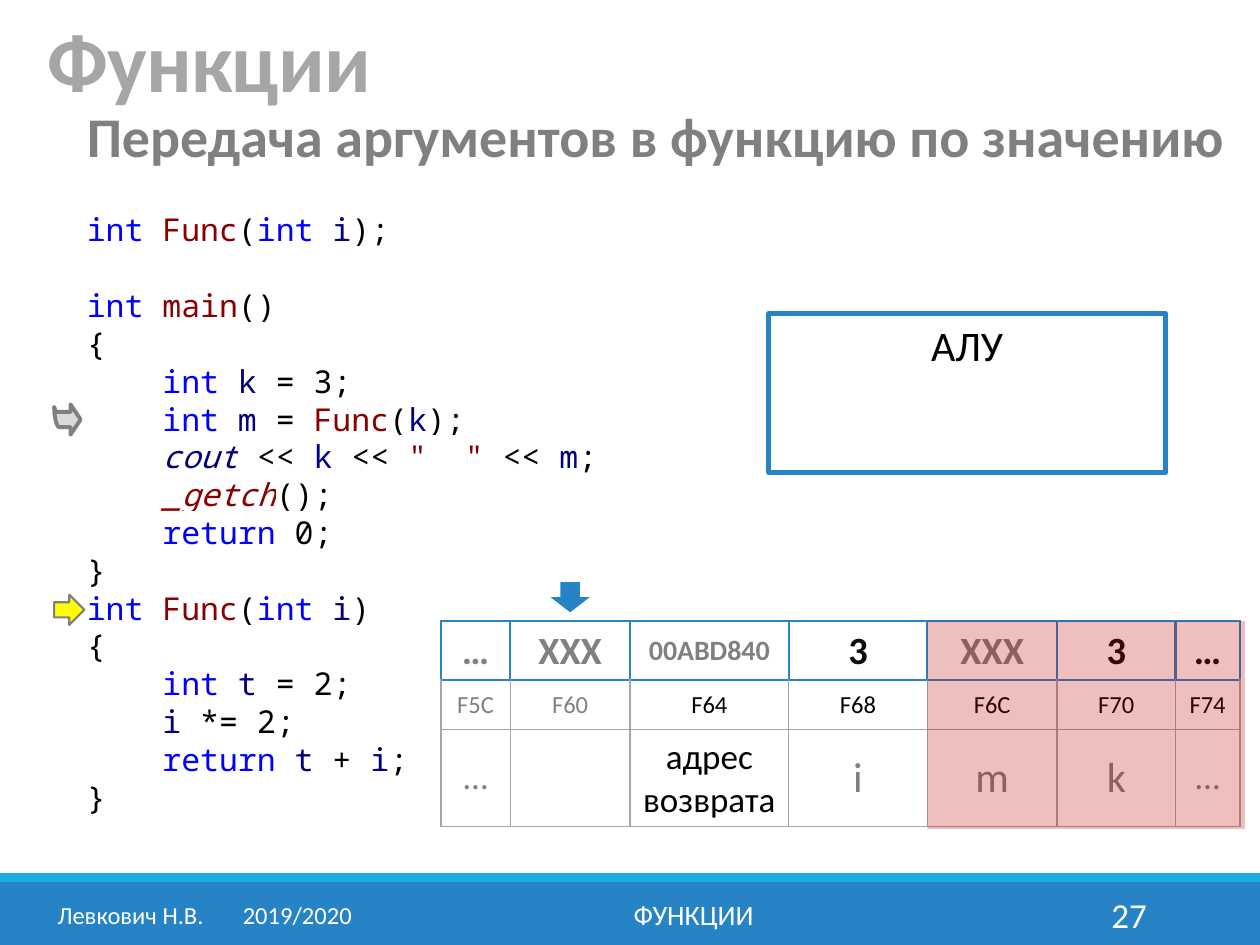
import dataclasses

import lxml.etree
import pptx
import pptx.dml.color
import pptx.enum.shapes
import pptx.enum.text
import pptx.oxml.ns
import pptx.util

Inches = pptx.util.Inches
Pt = pptx.util.Pt
SHAPE = pptx.enum.shapes.MSO_SHAPE
ALIGN = pptx.enum.text.PP_ALIGN
ANCHOR = pptx.enum.text.MSO_ANCHOR
qn = pptx.oxml.ns.qn


@dataclasses.dataclass(frozen=True)
class Theme:
    body_font: str = "Calibri"
    code_font: str = "Noto Sans Mono"
    blue: str = "2683C6"
    cyan: str = "1CADE4"
    white: str = "FFFFFF"
    black: str = "000000"
    ink: str = "0D0D0D"
    gray: str = "808080"
    silver: str = "A6A6A6"
    pale: str = "D9D9D9"
    yellow: str = "FFFF00"
    red: str = "C00000"
    keyword: str = "0000FF"
    function: str = "880000"
    variable: str = "000080"
    string: str = "800000"
    title: int = 48
    subtitle: int = 32
    large: int = 24
    value: int = 22
    medium: int = 20
    code: int = 18
    small: int = 16
    tiny: int = 14


THEME = Theme()
TOKEN_COLORS = {
    **dict.fromkeys(["int", "return"], THEME.keyword),
    **dict.fromkeys(["Func", "main", "_getch"], THEME.function),
    **dict.fromkeys(["i", "k", "m", "t", "cout"], THEME.variable),
    '"  "': THEME.string,
}
ITALIC_TOKENS = {"cout", "_getch"}
PROGRAM = """int| |Func|(|int| |i|);

int| |main|()
{
    |int| |k| = 3;
    |int| |m| = |Func|(|k|);
    |cout| << |k| << |"  "| << |m|;
    |_getch|();
    |return| 0;
}
int| |Func|(|int| |i|)
{
    |int| |t| = 2;
    |i| *= 2;
    |return| |t| + |i|;
}"""


def rgb(color):
    return pptx.dml.color.RGBColor.from_string(color)


class SlideBuilder:
    """Draws themed elements on the current slide."""

    def __init__(self, theme, slide):
        self.theme = theme
        self.slide = slide

    def run(self, paragraph, text, size, color, bold=False, italic=False, font=None, highlight=None):
        run = paragraph.add_run()
        run.text = text
        run.font.size = Pt(size)
        run.font.bold = bold
        run.font.italic = italic
        run.font.color.rgb = rgb(color)
        if highlight:
            marker = lxml.etree.SubElement(run.font._element, qn("a:highlight"))
            lxml.etree.SubElement(marker, qn("a:srgbClr"), val=highlight)
        run.font.name = font or self.theme.body_font
        return run

    def text(self, box, text, size, color, bold=False, align=ALIGN.LEFT,
             anchor=ANCHOR.TOP, wrap=True, tab=None):
        frame = self.slide.shapes.add_textbox(*map(Inches, box)).text_frame
        frame.word_wrap = wrap
        frame.vertical_anchor = anchor
        paragraph = frame.paragraphs[0]
        paragraph.alignment = align
        if tab:
            stops = lxml.etree.SubElement(paragraph._p.get_or_add_pPr(), qn("a:tabLst"))
            lxml.etree.SubElement(stops, qn("a:tab"), pos=str(Inches(tab)), algn="l")
        return paragraph, self.run(paragraph, text, size, color, bold)

    def code(self, box, program):
        frame = self.slide.shapes.add_textbox(*map(Inches, box)).text_frame
        frame.word_wrap = True
        paragraph, gap = frame.paragraphs[0], 0
        for number, line in enumerate(program.split("\n")):
            if not line:
                gap += 21.8
                continue
            if number:
                paragraph = frame.add_paragraph()
            if gap:
                paragraph.space_before = Pt(gap)
                gap = 0
            for token in line.split("|"):
                self.run(paragraph, token, self.theme.code,
                         TOKEN_COLORS.get(token, self.theme.black),
                         italic=token in ITALIC_TOKENS, font=self.theme.code_font,
                         highlight=self.theme.white)

    def paint(self, shape, fill=None, line=None, width=1, opacity=None):
        shape.shadow.inherit = False
        if fill:
            shape.fill.solid()
            shape.fill.fore_color.rgb = rgb(fill)
        else:
            shape.fill.background()
        if opacity:
            color = shape.fill._xPr.find(".//" + qn("a:srgbClr"))
            lxml.etree.SubElement(color, qn("a:alpha"), val=str(opacity * 1000))
        if line:
            shape.line.color.rgb = rgb(line)
            shape.line.width = Pt(width)
        else:
            shape.line.fill.background()
        return shape

    def shape(self, kind, box, **style):
        return self.paint(self.slide.shapes.add_shape(kind, *map(Inches, box)), **style)

    def outline(self, points, **style):
        start, *rest = [(Inches(x), Inches(y)) for x, y in points]
        builder = self.slide.shapes.build_freeform(*start)
        builder.add_line_segments(rest, close=True)
        return self.paint(builder.convert_to_shape(), **style)

    def border(self, cell, **sides):
        properties = cell._tc.get_or_add_tcPr()
        for index, side in enumerate("LRTB"):
            color, width = sides[side]
            line = lxml.etree.Element(qn("a:ln" + side), w=str(Pt(width)))
            fill = lxml.etree.SubElement(line, qn("a:solidFill"))
            lxml.etree.SubElement(fill, qn("a:srgbClr"), val=color)
            properties.insert(index, line)

    def memory(self, box, widths, heights, rows):
        table = self.slide.shapes.add_table(len(rows), len(widths), *map(Inches, box)).table
        table.first_row = table.horz_banding = False
        for column, width in zip(table.columns, widths):
            column.width = Inches(width)
        for row, height in zip(table.rows, heights):
            row.height = Inches(height)
        strong, thin = (self.theme.blue, 1.5), (self.theme.silver, 1)
        for r, cells in enumerate(rows):
            edge = thin if r else strong
            for c, (text, size, color) in enumerate(cells):
                cell = table.cell(r, c)
                cell.fill.solid()
                cell.fill.fore_color.rgb = rgb(self.theme.white)
                cell.vertical_anchor = ANCHOR.MIDDLE
                self.border(cell, L=edge, R=edge, T=strong if r < 2 else thin, B=edge)
                paragraph = cell.text_frame.paragraphs[0]
                paragraph.alignment = ALIGN.CENTER
                if text:
                    self.run(paragraph, text, size, color, bold=r == 0)


def bezier(start, first, second, end, steps=12):
    def point(t):
        weights = ((1 - t) ** 3, 3 * t * (1 - t) ** 2, 3 * t * t * (1 - t), t ** 3)
        return tuple(sum(w * p for w, p in zip(weights, axis))
                     for axis in zip(start, first, second, end))
    return [point(step / steps) for step in range(1, steps + 1)]


def main():
    deck = pptx.Presentation()
    deck.slide_width, deck.slide_height = Inches(10), Inches(7.5)
    t = THEME
    page = SlideBuilder(t, deck.slides.add_slide(deck.slide_layouts[6]))

    page.shape(SHAPE.RECTANGLE, (0, 7, 10, 0.5), fill=t.blue)
    page.shape(SHAPE.RECTANGLE, (0, 6.93, 10, 0.07), fill=t.cyan)
    page.code((0.59, 1.62, 4.49, 4.95), PROGRAM)
    page.text((0.59, 0.76, 9.32, 0.64), "Передача аргументов в функцию по значению",
              t.subtitle, t.gray, bold=True, wrap=False)
    heading, title = page.text((0.28, 0, 8.25, 0.92), "Функции", t.title, t.silver,
                               bold=True, anchor=ANCHOR.BOTTOM)
    heading.line_spacing = 0.85
    title.font._element.set("spc", "-50")

    values = [("…", t.value, t.gray), ("XXX", t.value, t.gray), ("00ABD840", t.small, t.gray),
              ("3", t.value, t.ink), ("XXX", t.value, t.gray), ("3", t.value, t.ink),
              ("…", t.value, t.ink)]
    addresses = [(address, t.tiny, t.gray if column < 2 else t.black) for column, address
                 in enumerate(["F5С", "F60", "F64", "F68", "F6С", "F70", "F74"])]
    names = [("…", t.medium, t.gray), ("", t.medium, t.gray),
             ("адрес возврата", t.medium, t.black),
             *[(name, t.large, t.gray) for name in "imk"], ("…", t.medium, t.gray)]
    page.memory((3.5, 4.93, 6.34, 1.63), [0.55, 0.95, 1.26, 1.1, 1.03, 0.94, 0.51],
                [0.47, 0.39, 0.77], [values, addresses, names])

    page.shape(SHAPE.RIGHT_ARROW, (0.43, 4.72, 0.24, 0.24), fill=t.yellow, line=t.gray, width=1.25)
    page.shape(SHAPE.DOWN_ARROW, (4.37, 4.62, 0.31, 0.24), fill=t.blue)
    notch, tail, tip = (0.47, 3.27), (0.47, 3.39), (0.43, 3.23)
    return_arrow = [notch, (0.56, 3.27), (0.56, 3.21), (0.64, 3.33), (0.56, 3.45),
                    (0.56, 3.39), tail, *bezier(tail, (0.45, 3.39), (0.43, 3.31), tip),
                    *bezier(tip, (0.44, 3.26), (0.44, 3.27), notch)[:-1]]
    page.outline(return_arrow, fill=t.pale, line=t.gray, width=2.25)
    page.shape(SHAPE.RECTANGLE, (7.36, 4.93, 2.52, 1.65), fill=t.red, opacity=25)

    page.text((0.32, 7.06, 2.61, 0.4), "Левкович Н.В.\t2019/2020", t.tiny, t.white,
              align=ALIGN.CENTER, anchor=ANCHOR.MIDDLE, tab=1.47)
    page.text((3.02, 7.06, 4.97, 0.4), "ФУНКЦИИ", t.small, t.white,
              align=ALIGN.CENTER, anchor=ANCHOR.MIDDLE)
    page.text((8.12, 7.06, 1.08, 0.4), "27", t.medium, t.white,
              align=ALIGN.RIGHT, anchor=ANCHOR.MIDDLE)

    alu = page.shape(SHAPE.RECTANGLE, (6.1, 2.49, 3.15, 1.26), line=t.blue, width=3).text_frame
    alu.vertical_anchor = ANCHOR.TOP
    alu.paragraphs[0].alignment = ALIGN.CENTER
    page.run(alu.paragraphs[0], "АЛУ", t.large, t.black)
    deck.save("out.pptx")


if __name__ == "__main__":
    main()
